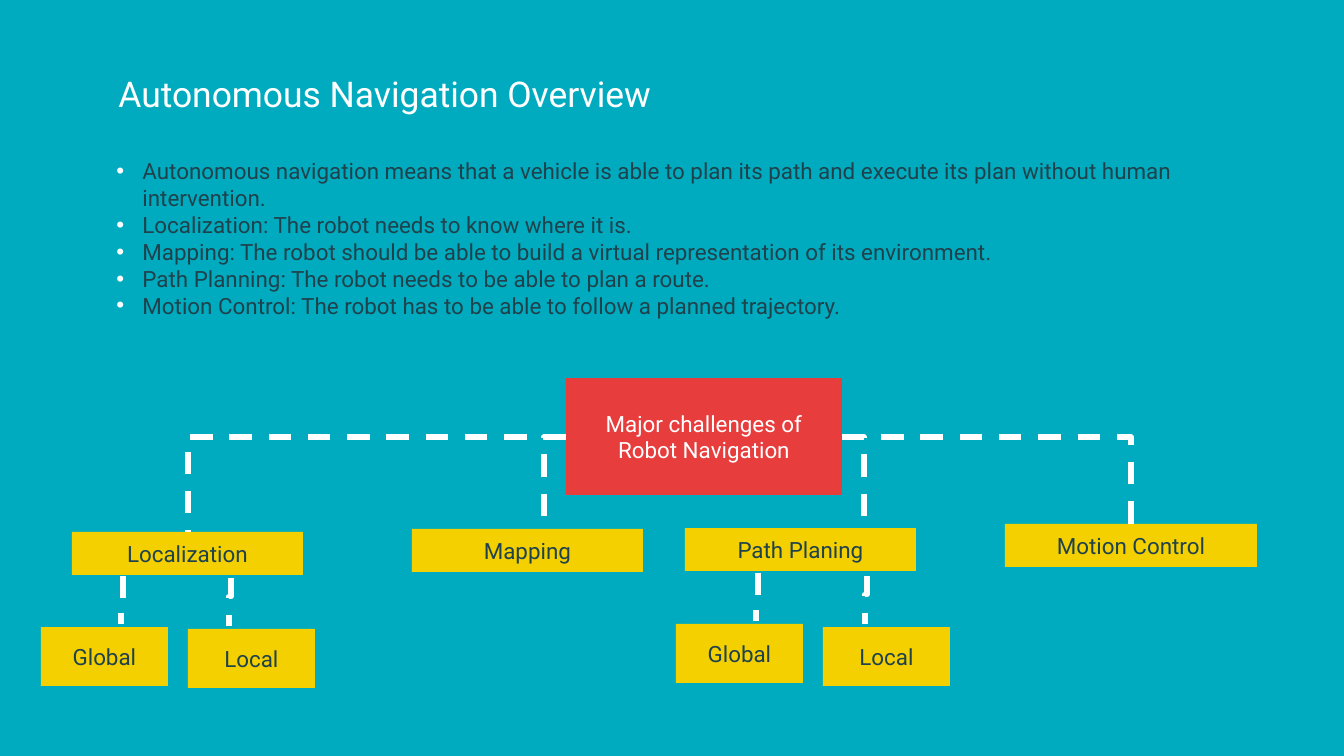
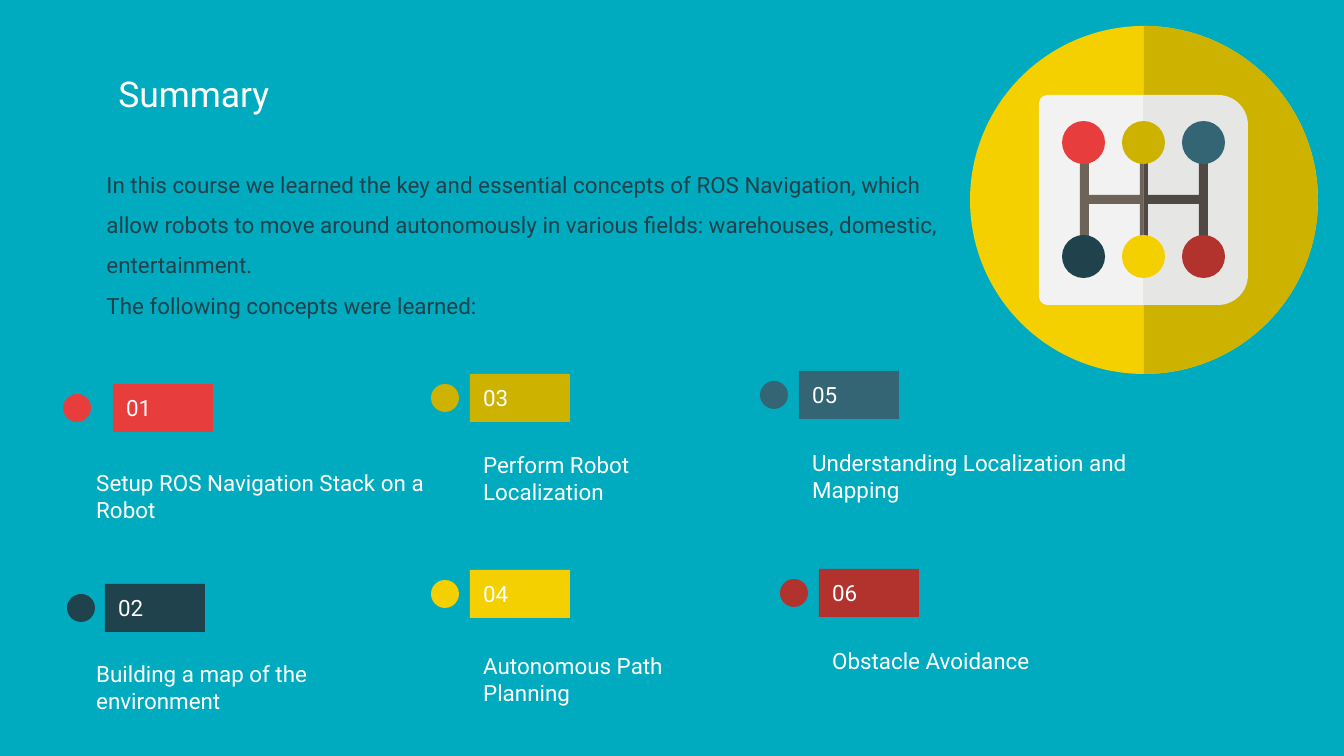
import math

import lxml.etree
import pptx
import pptx.dml.color
import pptx.enum.dml
import pptx.enum.shapes
import pptx.enum.text
import pptx.oxml.ns
import pptx.util

SCALE = 9144000 / 1344
FONT = "Roboto"
COLORS = {
    "teal": "00ABBF", "white": "FFFFFF", "navy": "1F424C", "red": "E83D3D",
    "yellow": "F4D000", "gold": "CEB200", "slate": "336574", "crimson": "B2322E",
    "card": "F2F2F2", "card_shade": "E6E6E5", "rail": "6E6358", "rail_shade": "504843",
}
RGB = {name: pptx.dml.color.RGBColor.from_string(code) for name, code in COLORS.items()}
SHAPE = pptx.enum.shapes.MSO_SHAPE
ALIGN = pptx.enum.text.PP_ALIGN
ANCHOR = pptx.enum.text.MSO_ANCHOR
qn = pptx.oxml.ns.qn


def format_text(box, text, color, size=12, align=ALIGN.LEFT, anchor=ANCHOR.MIDDLE):
    frame = box.text_frame
    frame.text = text
    frame.word_wrap = True
    frame.auto_size = pptx.enum.text.MSO_AUTO_SIZE.NONE
    frame.vertical_anchor = anchor
    frame.margin_left = frame.margin_right = pptx.util.Inches(0.1)
    frame.margin_top = frame.margin_bottom = pptx.util.Inches(0.1)
    for para in frame.paragraphs:
        para.alignment = align
        para.space_before = pptx.util.Pt(0)
        for span in para.runs:
            span.font.name = FONT
            span.font.size = pptx.util.Pt(size)
            span.font.color.rgb = RGB[color]


def add_box(shapes, kind, place, fill):
    box = shapes.add_shape(kind, *[round(value * SCALE) for value in place])
    box.shadow.inherit = False
    box.fill.solid()
    box.fill.fore_color.rgb = RGB[fill]
    box.line.fill.background()
    return box


deck = pptx.Presentation()
deck.slide_width = round(1344 * SCALE)
deck.slide_height = round(756 * SCALE)
deck.slide_master.background.fill.solid()
deck.slide_master.background.fill.fore_color.rgb = RGB["teal"]

overview_lines = [
    "Autonomous navigation means that a vehicle is able to plan its path and execute its plan without human intervention.",
    "Localization: The robot needs to know where it is.",
    "Mapping: The robot should be able to build a virtual representation of its environment.",
    "Path Planning: The robot needs to be able to plan a route.",
    "Motion Control: The robot has to be able to follow a planned trajectory.",
]
summary_lines = [
    "In this course we learned the key and essential concepts of ROS Navigation, which allow robots to move around autonomously in various fields: warehouses, domestic, entertainment.",
    "The following concepts were learned:",
]
contents = [
    ("Autonomous Navigation Overview", overview_lines, (103, 144, 1134, 85), ANCHOR.TOP),
    ("Summary", summary_lines, (93, 167, 876, 142), ANCHOR.MIDDLE),
]
pages = []
for heading, lines, body_place, body_anchor in contents:
    page = deck.slides.add_slide(deck.slide_layouts[1])
    title, body = page.placeholders
    for box, place in ((title, (105, 59, 1134, 85)), (body, body_place)):
        box.left, box.top, box.width, box.height = [round(value * SCALE) for value in place]
    format_text(title, heading, "white", 19, anchor=ANCHOR.TOP)
    format_text(body, "\n".join(lines), "navy", anchor=body_anchor)
    pages.append(page)
overview, summary = pages

for para in overview.placeholders[1].text_frame.paragraphs:
    properties = para._p.get_or_add_pPr()
    properties.set("marL", str(round(26 * SCALE)))
    properties.set("indent", str(round(-26 * SCALE)))
    bullet_color = lxml.etree.SubElement(properties, qn("a:buClr"))
    lxml.etree.SubElement(bullet_color, qn("a:srgbClr")).set("val", COLORS["white"])
    lxml.etree.SubElement(properties, qn("a:buFont")).set("typeface", "Arial")
    lxml.etree.SubElement(properties, qn("a:buChar")).set("char", "•")

for para in summary.placeholders[1].text_frame.paragraphs:
    para.line_spacing = 1.5
    properties = para._p.get_or_add_pPr()
    properties.set("marL", "0")
    properties.set("indent", "0")
    lxml.etree.SubElement(properties, qn("a:buNone"))

challenges = [
    ("Major challenges of Robot Navigation", (566, 378, 276, 117), "red", "white"),
    ("Localization", (72, 532, 231, 43), "yellow", "navy"),
    ("Mapping", (412, 529, 231, 43), "yellow", "navy"),
    ("Path Planing", (685, 528, 231, 43), "yellow", "navy"),
    ("Motion Control", (1005, 524, 252, 43), "yellow", "navy"),
    ("Global", (41, 627, 127, 59), "yellow", "navy"),
    ("Local", (188, 629, 127, 59), "yellow", "navy"),
    ("Global", (676, 624, 127, 59), "yellow", "navy"),
    ("Local", (823, 627, 127, 59), "yellow", "navy"),
]
for text, place, fill, color in challenges:
    box = add_box(overview.shapes, SHAPE.RECTANGLE, place, fill)
    format_text(box, text, color, align=ALIGN.CENTER)

branches = [
    ((start, 437, end, bottom), None)
    for start, end, bottom in ((566, 188, 532), (566, 544, 532), (842, 864, 532), (842, 1131, 524))
]
twigs = [
    ((x - 25, y + 23, x + 23, y + 25), bend)
    for x, y, bend in ((123, 576, 50000), (231, 578, 38500), (758, 573, 50000), (867, 576, 38500))
]
for ends, bend in branches + twigs:
    link = overview.shapes.add_connector(
        pptx.enum.shapes.MSO_CONNECTOR.ELBOW, *[round(value * SCALE) for value in ends]
    )
    link.line.color.rgb = RGB["white"]
    link.line.width = pptx.util.Pt(3)
    link.line.dash_style = pptx.enum.dml.MSO_LINE.DASH
    properties = link._element.spPr
    lxml.etree.SubElement(properties, qn("a:effectLst"))
    geometry = properties.find(qn("a:prstGeom"))
    if bend is None:
        geometry.set("prst", "bentConnector2")
    else:
        properties.find(qn("a:xfrm")).set("rot", "5400000")
        guide = lxml.etree.SubElement(geometry.find(qn("a:avLst")), qn("a:gd"))
        guide.set("name", "adj1")
        guide.set("fmla", f"val {bend}")

gearbox = summary.shapes.add_group_shape().shapes
add_box(gearbox, SHAPE.OVAL, (970, 26, 348, 348), "yellow")
card = add_box(gearbox, SHAPE.ROUNDED_RECTANGLE, (1039, 95, 209, 210), "card")
card.adjustments[0] = 0.04

half_disc = [
    (1144 + 174 * math.cos(math.radians(angle)), 200 + 174 * math.sin(math.radians(angle)))
    for angle in range(-90, 91, 3)
]
card_corners = [
    (1218 + 30 * math.cos(math.radians(angle)), y + 30 * math.sin(math.radians(angle)))
    for y, start in ((125, -90), (275, 0))
    for angle in range(start, start + 91, 6)
]
half_card = [(1144, 95)] + card_corners + [(1144, 305)]
right_rails = [
    (1144, 163), (1148, 163), (1148, 195), (1199, 195), (1199, 163), (1208, 163),
    (1208, 236), (1199, 236), (1199, 204), (1148, 204), (1148, 236), (1144, 236),
]
left_rails = [(2288 - x, y) for x, y in right_rails]
outlines = [
    (left_rails, "rail"), (half_disc, "gold"),
    (half_card, "card_shade"), (right_rails, "rail_shade"),
]
for points, color in outlines:
    corners = [(round(x * SCALE), round(y * SCALE)) for x, y in points]
    builder = gearbox.build_freeform(*corners[0])
    builder.add_line_segments(corners[1:])
    outline = builder.convert_to_shape()
    outline.shadow.inherit = False
    outline.fill.solid()
    outline.fill.fore_color.rgb = RGB[color]
    outline.line.fill.background()

knobs = ["red", "navy", "gold", "yellow", "slate", "crimson"]
for index, color in enumerate(knobs):
    column, row = divmod(index, 2)
    add_box(gearbox, SHAPE.OVAL, (1062 + 60 * column, 121 + 114 * row, 43, 43), color)

concepts = [
    ("Setup ROS Navigation Stack on a Robot", 63, (113, 384), (83, 441, 368, 110)),
    ("Building a map of the environment", 67, (105, 584), (83, 645, 325, 84)),
    ("Perform Robot Localization", 431, (470, 374), (470, 435, 294, 86)),
    ("Autonomous Path Planning", 431, (470, 570), (470, 630, 290, 99)),
    ("Understanding Localization and Mapping", 760, (799, 371), (799, 432, 368, 89)),
    ("Obstacle Avoidance", 780, (819, 569), (819, 630, 347, 62)),
]
for number, (text, dot_left, (left, top), place) in enumerate(concepts, 1):
    color = knobs[number - 1]
    concept = summary.shapes.add_group_shape().shapes
    caption = concept.add_textbox(*[round(value * SCALE) for value in place])
    format_text(caption, text, "white")
    tag = add_box(concept, SHAPE.RECTANGLE, (left, top, 100, 48), color)
    format_text(tag, f"{number:02d}", "white")
    add_box(concept, SHAPE.OVAL, (dot_left, top + 10, 28, 28), color)

deck.save("out.pptx")
